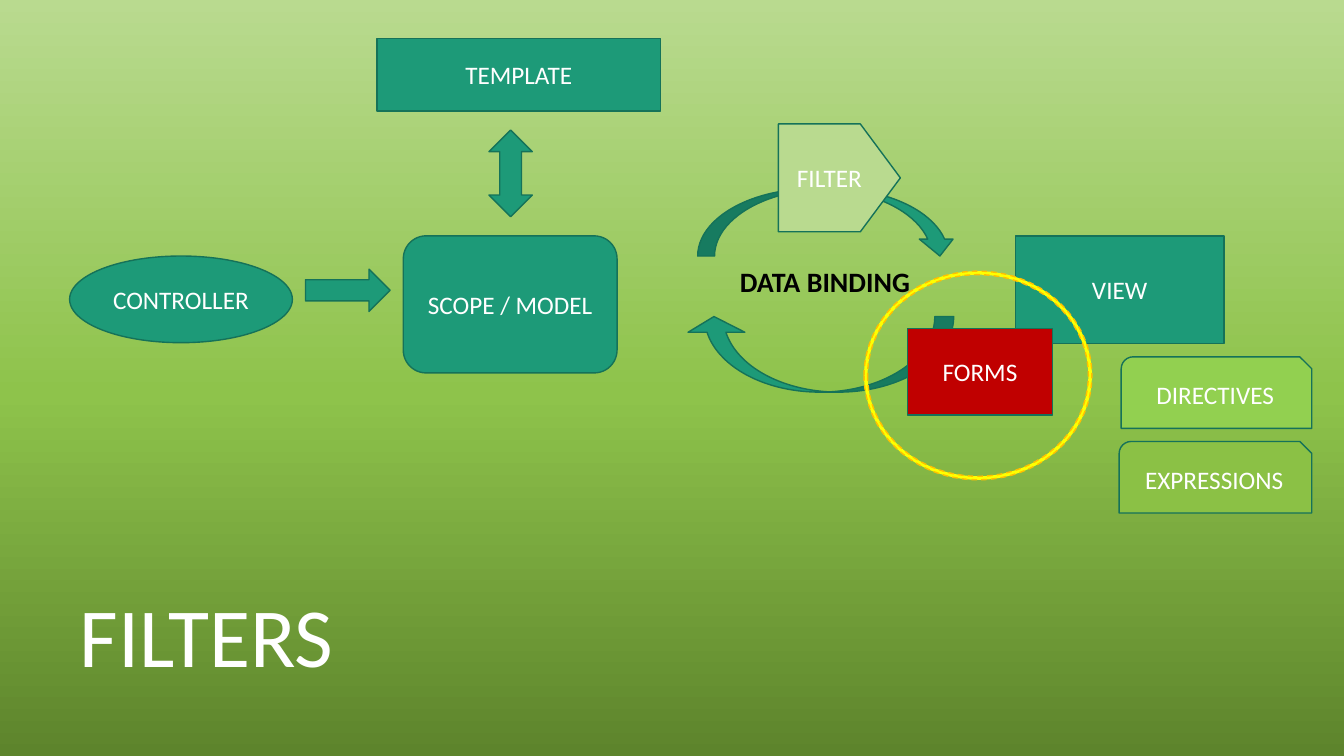
from copy import deepcopy
from dataclasses import dataclass

from pptx import Presentation
from pptx.dml.color import RGBColor
from pptx.enum.dml import MSO_LINE
from pptx.enum.shapes import MSO_SHAPE
from pptx.enum.text import MSO_ANCHOR, MSO_AUTO_SIZE, PP_ALIGN
from pptx.oxml.ns import qn
from pptx.shapes.autoshape import Shape
from pptx.slide import Slide
from pptx.text.text import TextFrame
from pptx.util import Inches, Pt

COLORS = {
    "teal": "1D9A78", "outline": "157259", "white": "FFFFFF", "black": "000000",
    "directive": "92D050", "expression": "8BC145", "pale": "B9DA8F",
    "red": "C00000", "yellow": "FFFF00", "amber": "FFC000",
    "bg_dark": "5D842C", "bg_mid": "8EC34B",
}
BACKGROUND = [(0, "bg_dark"), (0.48, "bg_mid"), (1, "pale")]
FONT = "Calibri"


@dataclass(frozen=True)
class Node:
    """One preset shape of the diagram, measured in inches."""
    kind: MSO_SHAPE
    left: float
    top: float
    width: float
    height: float
    text: str = ""
    fill: str = "teal"
    line: str = "outline"
    dashed: bool = False
    flipped: bool = False
    adjustments: tuple[float, ...] = ()


CYCLE_BACK = Node(MSO_SHAPE.CURVED_UP_ARROW, 6.8, 3.14, 2.66, 0.75,
                  flipped=True, adjustments=(0.25, 0.751, 0.208))
HIGHLIGHT = Node(MSO_SHAPE.DONUT, 8.57, 2.69, 2.26, 2.07, fill="yellow",
                 line="amber", dashed=True, adjustments=(0.017,))
NODES_BELOW_LABEL = [
    Node(MSO_SHAPE.RECTANGLE, 3.74, 0.38, 2.81, 0.72, "TEMPLATE"),
    Node(MSO_SHAPE.OVAL, 0.69, 2.54, 2.21, 0.86, "CONTROLLER"),
    Node(MSO_SHAPE.ROUNDED_RECTANGLE, 4, 2.34, 2.12, 1.36, "SCOPE / MODEL"),
    Node(MSO_SHAPE.RECTANGLE, 10.07, 2.34, 2.07, 1.07, "VIEW"),
    Node(MSO_SHAPE.UP_DOWN_ARROW, 4.85, 1.29, 0.43, 0.86),
    Node(MSO_SHAPE.CURVED_DOWN_ARROW, 6.92, 1.87, 2.57, 0.67),
    CYCLE_BACK,
]
NODES_ABOVE_LABEL = [
    Node(MSO_SHAPE.RIGHT_ARROW, 3.03, 2.67, 0.84, 0.42),
    Node(MSO_SHAPE.SNIP_ROUND_RECTANGLE, 11.12, 3.54, 1.89, 0.71, "DIRECTIVES", "directive"),
    Node(MSO_SHAPE.SNIP_ROUND_RECTANGLE, 11.1, 4.38, 1.91, 0.71, "EXPRESSIONS", "expression"),
    HIGHLIGHT,
    Node(MSO_SHAPE.PENTAGON, 7.72, 1.23, 1.21, 1.07, "FILTER", "pale", adjustments=(0.371,)),
    Node(MSO_SHAPE.RECTANGLE, 9, 3.26, 1.44, 0.86, "FORMS", "red"),
]


def rgb(name: str) -> RGBColor:
    """Look up a palette colour."""
    return RGBColor.from_string(COLORS[name])


def write(tf: TextFrame, text: str, *, size: float = 18, color: str = "white",
          bold: bool = False, align: PP_ALIGN = PP_ALIGN.LEFT,
          anchor: MSO_ANCHOR = MSO_ANCHOR.TOP, spacing: float = 1.0) -> None:
    """Fill a text frame with one formatted paragraph."""
    tf.word_wrap = True
    tf.auto_size = MSO_AUTO_SIZE.NONE
    tf.vertical_anchor = anchor
    p = tf.paragraphs[0]
    p.alignment = align
    p.line_spacing = spacing
    r = p.add_run()
    r.text = text
    r.font.name = FONT
    r.font.size = Pt(size)
    r.font.bold = bold
    r.font.color.rgb = rgb(color)


def paint_background(s: Slide) -> None:
    """Give the slide a three-stop gradient from bottom to top."""
    fill = s.background.fill
    fill.gradient()
    fill.gradient_angle = 90
    stops = s._element.find(".//" + qn("a:gsLst"))
    stops.insert(1, deepcopy(stops[0]))
    for stop, (position, color) in zip(fill.gradient_stops, BACKGROUND):
        stop.position = position
        stop.color.rgb = rgb(color)


def draw_node(s: Slide, node: Node) -> Shape:
    """Draw one diagram shape with its caption."""
    sp = s.shapes.add_shape(node.kind, Inches(node.left), Inches(node.top),
                            Inches(node.width), Inches(node.height))
    sp.shadow.inherit = False
    for i, value in enumerate(node.adjustments):
        sp.adjustments[i] = value
    sp.fill.solid()
    sp.fill.fore_color.rgb = rgb(node.fill)
    sp.line.color.rgb = rgb(node.line)
    sp.line.width = Pt(1)
    if node.dashed:
        sp.line.dash_style = MSO_LINE.DASH
    if node.flipped:
        sp._element.spPr.find(qn("a:xfrm")).set("flipH", "1")
    if node.text:
        write(sp.text_frame, node.text, align=PP_ALIGN.CENTER, anchor=MSO_ANCHOR.MIDDLE)
    return sp


def add_title(s: Slide, text: str) -> None:
    """Place the slide title along the bottom."""
    title = s.shapes.title
    title.left, title.top = Inches(0.69), Inches(5.08)
    title.width, title.height = Inches(11.5), Inches(1.77)
    write(title.text_frame, text, size=60, anchor=MSO_ANCHOR.BOTTOM, spacing=0.9)


def add_cycle_label(s: Slide, text: str) -> None:
    """Label the loop between model and view."""
    box = s.shapes.add_textbox(Inches(7.24), Inches(2.58), Inches(2.08), Inches(0.44))
    write(box.text_frame, text, size=20, color="black", bold=True)


def main() -> None:
    """Build and save the slide."""
    prs = Presentation()
    prs.slide_width, prs.slide_height = Inches(13.33), Inches(7.5)
    s = prs.slides.add_slide(prs.slide_layouts.get_by_name("Title Only"))
    paint_background(s)
    add_title(s, "FILTERS")
    for node in NODES_BELOW_LABEL:
        draw_node(s, node)
    add_cycle_label(s, "DATA BINDING")
    for node in NODES_ABOVE_LABEL:
        draw_node(s, node)
    prs.save("out.pptx")


main()
